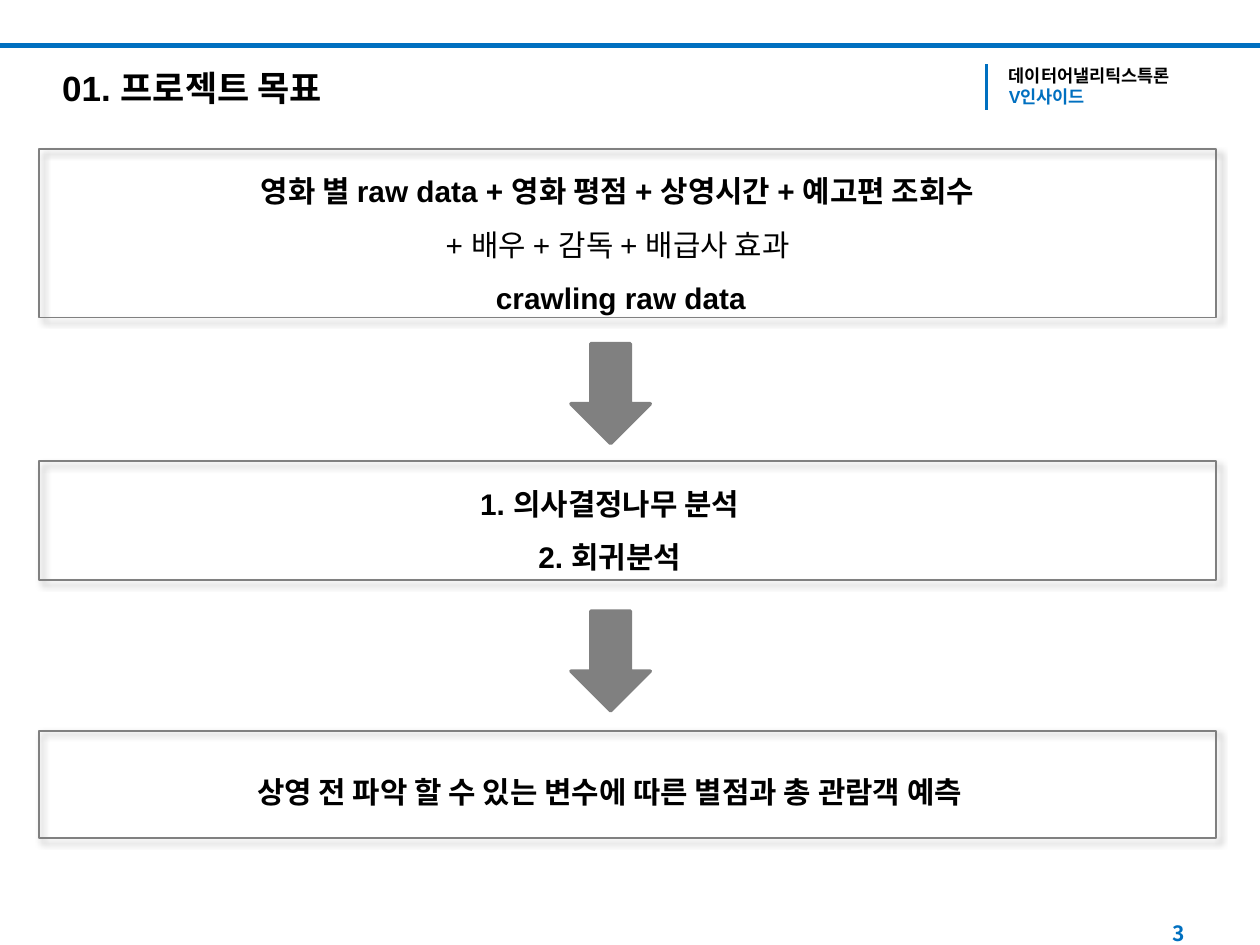
from lxml.etree import SubElement
from pptx import Presentation
from pptx.dml.color import RGBColor
from pptx.enum.shapes import MSO_CONNECTOR, MSO_SHAPE
from pptx.enum.text import MSO_ANCHOR, MSO_AUTO_SIZE, PP_ALIGN
from pptx.oxml.ns import qn
from pptx.util import Cm, Pt

BLUE, GRAY, BLACK = "0070C0", "808080", "000000"
LATIN, KOREAN = "Arial", "Noto Sans CJK KR"


def rgb(value):
    """Return the colour for a hex string."""
    return RGBColor.from_string(value)


def format_paragraph(p, text, size, color=BLACK, bold=True, font=LATIN,
                     align=PP_ALIGN.LEFT, spacing=None, hanging=0):
    """Fill one paragraph and set its font and layout."""
    p.text, p.alignment, p.line_spacing = text, align, spacing
    p.font.size, p.font.bold, p.font.name = Pt(size), bold, font
    p.font.color.rgb = rgb(color)
    pPr = p._p.get_or_add_pPr()
    SubElement(pPr.find(qn("a:defRPr")), qn("a:ea"), typeface=KOREAN)
    if hanging:
        pPr.set("marL", str(Cm(hanging)))
        pPr.set("indent", str(-Cm(hanging)))


def add_text(s, left, top, width, height, lines, wrap=True,
             anchor=MSO_ANCHOR.TOP, **style):
    """Add a text box; each line is a text with its own style."""
    tf = s.shapes.add_textbox(Cm(left), Cm(top), Cm(width), Cm(height)).text_frame
    tf.word_wrap, tf.vertical_anchor = wrap, anchor
    for i, (text, own) in enumerate(lines):
        p = tf.add_paragraph() if i else tf.paragraphs[0]
        format_paragraph(p, text, **{**style, **own})


def add_title(s, text):
    """Place and format the title placeholder."""
    sp = s.shapes.title
    sp.left, sp.top, sp.width, sp.height = Cm(1), Cm(1.22), Cm(8.74), Cm(1.12)
    tf = sp.text_frame
    tf.vertical_anchor, tf.auto_size = MSO_ANCHOR.TOP, MSO_AUTO_SIZE.NONE
    format_paragraph(tf.paragraphs[0], text, 20)


def add_line(s, x1, y1, x2, y2, width):
    """Add a straight blue rule."""
    line = s.shapes.add_connector(MSO_CONNECTOR.STRAIGHT, Cm(x1), Cm(y1), Cm(x2), Cm(y2))
    line.line.color.rgb, line.line.width = rgb(BLUE), Pt(width)
    SubElement(line._element.spPr, qn("a:effectLst"))


def add_frame(s, top, height):
    """Add an unfilled gray frame with a soft shadow."""
    sp = s.shapes.add_shape(MSO_SHAPE.RECTANGLE, Cm(0.79), Cm(top), Cm(23.72), Cm(height))
    sp.fill.background()
    sp.line.color.rgb, sp.line.width = rgb(GRAY), Pt(1)
    sp.shadow.inherit = False
    effects = sp._element.spPr.find(qn("a:effectLst"))
    shadow = SubElement(effects, qn("a:outerShdw"), blurRad=str(Pt(4)), dist=str(Pt(3)),
                        dir="2700000", algn="tl", rotWithShape="0")
    color = SubElement(shadow, qn("a:srgbClr"), val=BLACK)
    SubElement(color, qn("a:alpha"), val="40000")


def add_arrow(s, top):
    """Add a gray arrow leading to the next frame."""
    sp = s.shapes.add_shape(MSO_SHAPE.DOWN_ARROW, Cm(11.51), Cm(top), Cm(1.6), Cm(2.01))
    sp.fill.solid()
    sp.fill.fore_color.rgb = sp.line.color.rgb = rgb(GRAY)
    sp.line.width = Pt(2)
    sp.shadow.inherit = False


def main():
    """Build the project goal slide."""
    prs = Presentation()
    prs.slide_width, prs.slide_height = Cm(25.4), Cm(19.05)
    s = prs.slides.add_slide(prs.slide_layouts[5])

    add_line(s, -0.05, 0.91, 25.45, 0.91, 3)
    add_line(s, 19.89, 1.3, 19.89, 2.21, 2)
    add_title(s, "01. 프로젝트 목표")
    add_text(s, 20.09, 1.19, 4.06, 1.55,
             [("데이터어낼리틱스특론", {}), ("V인사이드", {"color": BLUE})],
             wrap=False, size=10)

    for top, height in ((3, 3.4), (9.3, 2.39), (14.73, 2.16)):
        add_frame(s, top, height)
    for top in (6.93, 12.32):
        add_arrow(s, top)

    body = {"size": 17, "align": PP_ALIGN.CENTER, "spacing": 1.5}
    add_text(s, 1.09, 3, 22.86, 3.53,
             [("영화 별 raw data + 영화 평점 + 상영시간 + 예고편 조회수 ", {}),
              ("+ 배우 + 감독 + 배급사 효과 ", {"bold": False}),
              ("crawling raw data", {})], **body)
    add_text(s, 1.5, 9.3, 21.59, 2.44,
             [("1. 의사결정나무 분석", {}), ("2. 회귀분석", {})], hanging=0.97, **body)
    add_text(s, 1.5, 15.11, 21.59, 1.19,
             [("상영 전 파악 할 수 있는 변수에 따른 별점과 총 관람객 예측", {})],
             hanging=0.97, **body)
    add_text(s, 18.21, 18.31, 5.92, 1.02, [("3", {})], anchor=MSO_ANCHOR.MIDDLE,
             size=12, color=BLUE, font=KOREAN, align=PP_ALIGN.RIGHT)

    prs.save("out.pptx")


if __name__ == "__main__":
    main()
